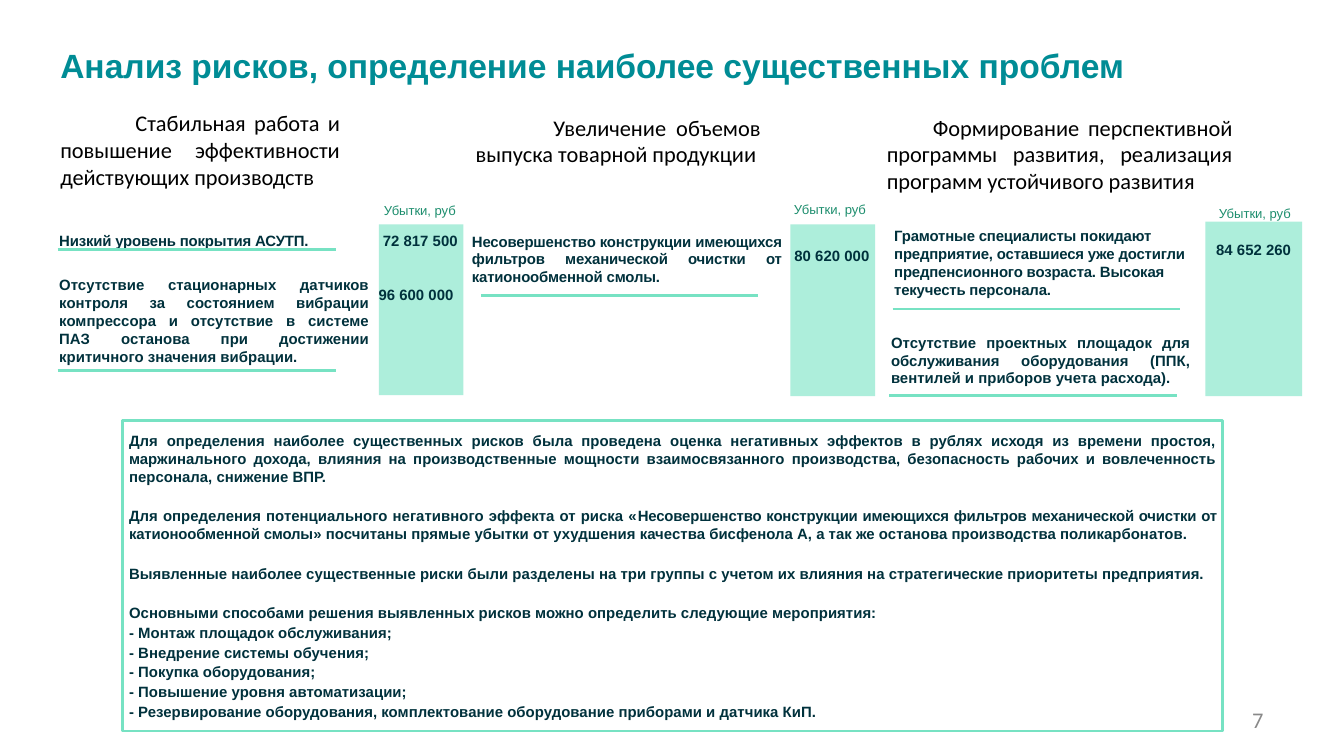
from pptx import Presentation
from pptx.dml.color import RGBColor
from pptx.enum.shapes import MSO_CONNECTOR, MSO_SHAPE
from pptx.enum.text import MSO_ANCHOR, PP_ALIGN
from pptx.oxml.ns import qn
from pptx.util import Cm, Pt
from lxml import etree

LEFT, CENTER, RIGHT, JUSTIFY = PP_ALIGN.LEFT, PP_ALIGN.CENTER, PP_ALIGN.RIGHT, PP_ALIGN.JUSTIFY
TOP, MIDDLE, BOTTOM = MSO_ANCHOR.TOP, MSO_ANCHOR.MIDDLE, MSO_ANCHOR.BOTTOM
RECT, STRAIGHT = MSO_SHAPE.RECTANGLE, MSO_CONNECTOR.STRAIGHT

COLORS = {"title": "008C95", "heading": "000000", "body": "00313C", "label": "1E8E6E",
          "bar": "ADEEDB", "line": "77E2C3", "panel": "FFFFFF", "number": "898989"}

TITLE = "Анализ рисков, определение наиболее существенных проблем"

GROUPS = [
    {
        "heading": ("Стабильная работа и повышение эффективности действующих производств",
                    (0.89, 1.94, 5.79, 1.88), 1.42),
        "bar": (7.16, 4.24, 1.6, 3.23),
        "label": (7.11, 3.81),
        "losses": [("72 817 500", 7.16, 4.42), ("96 600 000", 7.08, 5.44)],
        "risks": [
            ("Низкий уровень покрытия АСУТП.", (1.09, 4.37, 5.89, 0.4), JUSTIFY, -0.1),
            ("Отсутствие стационарных датчиков контроля за состоянием вибрации компрессора "
             "и отсутствие в системе ПАЗ останова при достижении критичного значения вибрации.",
             (1.09, 5.21, 5.89, 1.7), JUSTIFY, 0),
        ],
        "rules": [(1.09, 4.72, 5.26), (1.09, 7, 5.26)],
    },
    {
        "heading": ("Увеличение объемов выпуска товарной продукции",
                    (8.74, 2.02, 5.89, 1.37), 1.47),
        "bar": (14.94, 4.24, 1.6, 3.25),
        "label": (14.86, 3.78),
        "losses": [("80 620 000", 14.94, 4.7)],
        "risks": [
            ("Несовершенство конструкции имеющихся фильтров механической очистки "
             "от катионообменной смолы.", (8.89, 4.39, 5.89, 1.1), JUSTIFY, -0.1),
        ],
        "rules": [(9.09, 5.59, 5.23)],
    },
    {
        "heading": ("Формирование перспективной программы развития, реализация программ "
                    "устойчивого развития", (16.51, 2.02, 7.04, 1.88), 0.87),
        "bar": (22.78, 4.19, 1.83, 3.3),
        "label": (22.89, 3.86),
        "losses": [("84 652 260", 22.91, 4.6)],
        "risks": [
            ("Грамотные специалисты покидают предприятие, оставшиеся уже достигли "
             "предпенсионного возраста. Высокая текучесть персонала.",
             (16.87, 4.29, 5.61, 1.37), LEFT, -0.1),
            ("Отсутствие проектных площадок для обслуживания оборудования (ППК, вентилей "
             "и приборов учета расхода).", (16.81, 6.3, 5.69, 1.1), JUSTIFY, 0),
        ],
        "rules": [(16.87, 5.84, 5.44), (16.81, 7.47, 5.44)],
    },
]

CONCLUSIONS = [
    "Для определения наиболее существенных рисков была проведена оценка негативных эффектов "
    "в рублях исходя из времени простоя, маржинального дохода, влияния на производственные "
    "мощности взаимосвязанного производства, безопасность рабочих и вовлеченность персонала, "
    "снижение ВПР.",
    [("Для определения потенциального негативного эффекта от риска «", 0),
     ("Несовершенство конструкции имеющихся фильтров механической очистки "
      "от катионообменной смолы", -0.1),
     ("» посчитаны прямые убытки от ухудшения качества бисфенола А, а так же останова "
      "производства поликарбонатов.", 0)],
    "Выявленные наиболее существенные риски были разделены на три группы с учетом их влияния "
    "на стратегические приоритеты предприятия.",
    "Основными способами решения выявленных рисков можно определить следующие мероприятия:",
]
MEASURES = [
    "- Монтаж площадок обслуживания;",
    "- Внедрение системы обучения;",
    "- Покупка оборудования;",
    "- Повышение уровня автоматизации;",
    "- Резервирование оборудования, комплектование оборудование приборами и датчика КиП.",
]


def rgb(name):
    return RGBColor.from_string(COLORS[name])


def text(tf, content, size=8, font="Arial", color="body", bold=True, align=JUSTIFY,
         tracking=0, margin=0, indent=0, before=0, spacing=None):
    p = tf.paragraphs[0]
    if p.runs:
        p = tf.add_paragraph()
    p.alignment = align
    pPr = p._p.get_or_add_pPr()
    pPr.set("marL", str(Cm(margin)))
    pPr.set("indent", str(Cm(indent)))
    if before:
        p.space_before = Pt(before)
    if spacing:
        p.line_spacing = spacing
    runs = [(content, tracking)] if isinstance(content, str) else content
    for words, spread in runs:
        r = p.add_run()
        r.text = words
        r.font.size, r.font.name, r.font.bold = Pt(size), font, bold
        r.font.color.rgb = rgb(color)
        if spread:
            r._r.get_or_add_rPr().set("spc", str(round(spread * 100)))


def frame(sp, insets, anchor):
    tf = sp.text_frame
    tf.word_wrap = True
    tf.vertical_anchor = anchor
    tf.margin_left = tf.margin_right = Cm(insets[0])
    tf.margin_top = tf.margin_bottom = Cm(insets[1])
    return tf


def box(s, place, insets=(0, 0), anchor=TOP):
    return frame(s.shapes.add_textbox(*map(Cm, place)), insets, anchor)


def rectangle(s, place, fill, line=None):
    sp = s.shapes.add_shape(RECT, *map(Cm, place))
    sp.shadow.inherit = False
    sp.fill.solid()
    sp.fill.fore_color.rgb = rgb(fill)
    if line:
        sp.line.color.rgb = rgb(line)
        sp.line.width = Pt(1.5)
    else:
        sp.line.fill.background()
    return sp


def rule(s, x, y, width):
    c = s.shapes.add_connector(STRAIGHT, Cm(x), Cm(y), Cm(x + width), Cm(y))
    c.line.color.rgb = rgb("line")
    c.line.width = Pt(1.5)
    etree.SubElement(c._element.spPr, qn("a:effectLst"))


def group(s, g):
    heading, place, indent = g["heading"]
    text(box(s, place, (0.25, 0.13)), heading, size=12, font="Calibri", color="heading",
         bold=False, indent=indent)
    rectangle(s, g["bar"], "bar")
    text(box(s, (*g["label"], 1.65, 0.32)), "Убытки, руб", size=7, color="label",
         bold=False, align=CENTER, spacing=Pt(9))
    for amount, x, y in g["losses"]:
        text(box(s, (x, y, 1.57, 0.3), anchor=BOTTOM), amount, align=CENTER, spacing=0.9)
    for risk, place, align, tracking in g["risks"]:
        text(box(s, place), risk, align=align, tracking=tracking, margin=0.03)
    for place in g["rules"]:
        rule(s, *place)


def main():
    prs = Presentation()
    prs.slide_width, prs.slide_height = Cm(25.4), Cm(14.29)
    s = prs.slides.add_slide(prs.slide_layouts[6])

    text(box(s, (0.89, 0.71, 22.86, 1.04), (0.25, 0.13), MIDDLE), TITLE,
         size=18, color="title", align=LEFT)
    for g in GROUPS:
        group(s, g)

    panel = rectangle(s, (2.31, 7.95, 20.8, 5.87), "panel", "line")
    tf = frame(panel, (0.1, 0), MIDDLE)
    for i, conclusion in enumerate(CONCLUSIONS):
        text(tf, conclusion, margin=0.03, before=11.6 if i else 0)
    for measure in MEASURES:
        text(tf, measure, margin=0.03, before=1)

    text(box(s, (18.21, 13.23, 5.92, 0.76), (0.25, 0.13), MIDDLE), "7",
         size=12, font="Calibri", color="number", bold=False, align=RIGHT)
    prs.save("out.pptx")


if __name__ == "__main__":
    main()
